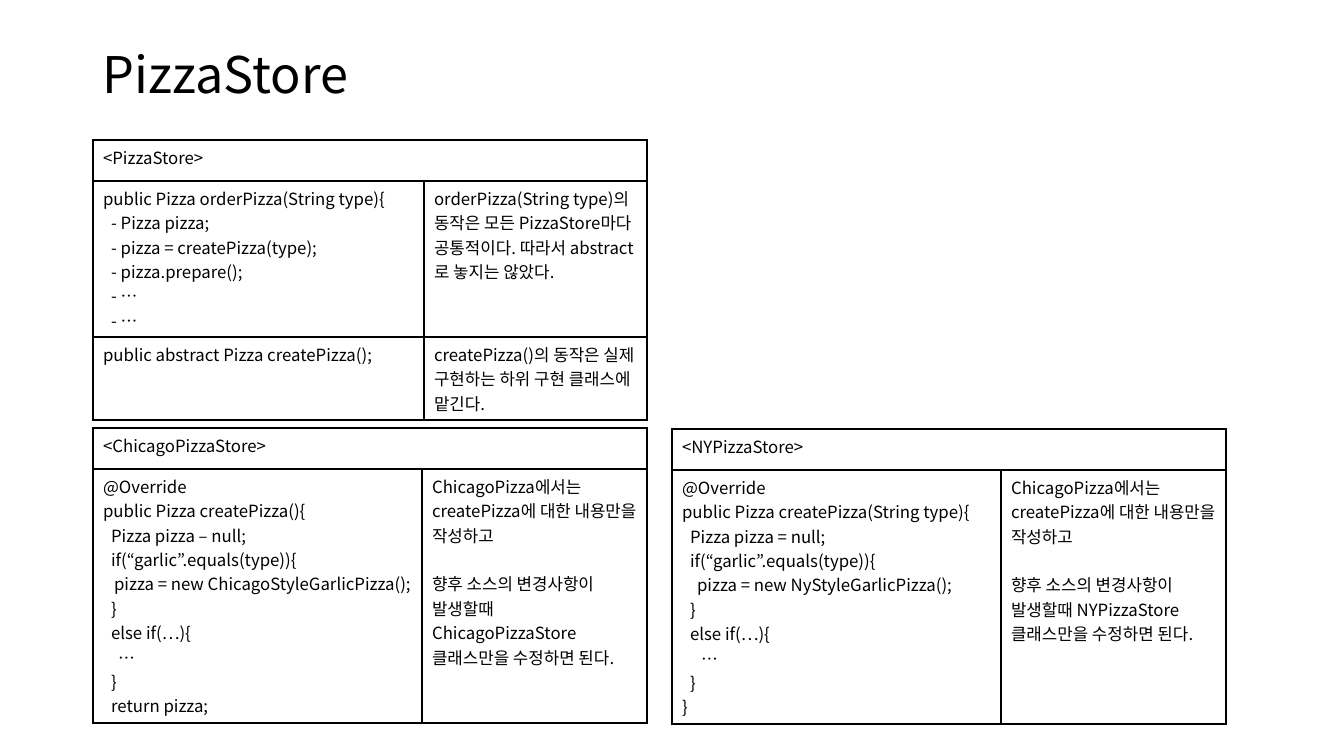
from dataclasses import dataclass

from lxml import etree
from pptx import Presentation
from pptx.dml.color import RGBColor
from pptx.enum.text import MSO_ANCHOR
from pptx.oxml.ns import qn
from pptx.util import Pt

MIDDLE = MSO_ANCHOR.MIDDLE
EMU_PER_PX = 914400 / 100.8
SLIDE_WIDTH, SLIDE_HEIGHT = 1344, 756


@dataclass(frozen=True)
class Theme:
    font: str = "Noto Sans CJK KR"
    ink: str = "000000"
    title_size: int = 36
    body_size: int = 12
    paragraph_gap: float = 17.4
    border_width: int = 1
    indent_step: float = 3.75
    header_height: int = 41


THEME = Theme()

STORE = {
    "box": (93, 140, 554),
    "code_width": 331,
    "heading": "<PizzaStore>",
    "methods": [
        (156, [
            (0, "public Pizza orderPizza(String type){"),
            (2, "- Pizza pizza;"),
            (2, "- pizza = createPizza(type);"),
            (2, "- pizza.prepare();"),
            (2, "- …"),
            (2, "- …"),
        ], ["orderPizza(String type)의 동작은 모든 PizzaStore마다 공통적이다. 따라서 abstract로 놓지는 않았다."]),
        (83, [(0, "public abstract Pizza createPizza();")],
         ["createPizza()의 동작은 실제 구현하는 하위 구현 클래스에 맡긴다."]),
    ],
}

CHICAGO_STORE = {
    "box": (93, 428, 554),
    "code_width": 329,
    "heading": "<ChicagoPizzaStore>",
    "methods": [
        (254, [
            (0, "@Override"),
            (0, "public Pizza createPizza(){"),
            (2, "Pizza pizza – null;"),
            (2, "if(“garlic”.equals(type)){"),
            (3, "pizza = new ChicagoStyleGarlicPizza();"),
            (2, "}"),
            (2, "else if(…){"),
            (4, "…"),
            (2, "}"),
            (2, "return pizza;"),
        ], ["ChicagoPizza에서는 createPizza에 대한 내용만을 작성하고",
            "향후 소스의 변경사항이 발생할때 ChicagoPizzaStore클래스만을 수정하면 된다."]),
    ],
}

NY_STORE = {
    "box": (672, 429, 554),
    "code_width": 329,
    "heading": "<NYPizzaStore>",
    "methods": [
        (254, [
            (0, "@Override"),
            (0, "public Pizza createPizza(String type){"),
            (2, "Pizza pizza = null;"),
            (2, "if(“garlic”.equals(type)){"),
            (4, "pizza = new NyStyleGarlicPizza();"),
            (2, "}"),
            (2, "else if(…){"),
            (5, "…"),
            (2, "}"),
            (0, "}"),
        ], ["ChicagoPizza에서는 createPizza에 대한 내용만을 작성하고",
            "향후 소스의 변경사항이 발생할때 NYPizzaStore클래스만을 수정하면 된다."]),
    ],
}


def px(length):
    return round(length * EMU_PER_PX)


def add_run(paragraph, text, size):
    run = paragraph.add_run()
    run.text = text
    run.font.size = Pt(size)
    run.font.name = THEME.font
    run.font.color.rgb = RGBColor.from_string(THEME.ink)
    latin = run.font._element.find(qn("a:latin"))
    east_asian = etree.Element(qn("a:ea"), typeface=THEME.font)
    latin.addnext(east_asian)


def write_lines(frame, lines, gap=0):
    for index, (indent, text) in enumerate(lines):
        paragraph = frame.add_paragraph() if index else frame.paragraphs[0]
        if index and gap:
            paragraph.space_before = Pt(gap)
        if indent:
            properties = paragraph._p.get_or_add_pPr()
            properties.set("marL", str(px(round(indent * THEME.indent_step))))
            properties.set("indent", "0")
        add_run(paragraph, text, THEME.body_size)


def outline_cell(cell):
    cell.fill.background()
    properties = cell._tc.get_or_add_tcPr()
    for position, side in enumerate(("lnL", "lnR", "lnT", "lnB")):
        border = etree.Element(qn(f"a:{side}"), w=str(Pt(THEME.border_width)))
        fill = etree.SubElement(border, qn("a:solidFill"))
        etree.SubElement(fill, qn("a:srgbClr"), val=THEME.ink)
        properties.insert(position, border)


def add_title(slide, box, text):
    title = slide.shapes.add_textbox(*map(px, box))
    frame = title.text_frame
    frame.word_wrap = True
    frame.vertical_anchor = MIDDLE
    heading = frame.paragraphs[0]
    heading.line_spacing = 0.9
    add_run(heading, text, THEME.title_size)


def add_class_table(slide, store):
    left, top, width = store["box"]
    methods = store["methods"]
    heights = [THEME.header_height] + [height for height, _, _ in methods]
    frame = slide.shapes.add_table(
        len(heights), 2, px(left), px(top), px(width), px(sum(heights)))
    table = frame.table
    table.first_row = False
    table.horz_banding = False
    table.columns[0].width = px(store["code_width"])
    table.columns[1].width = px(width - store["code_width"])
    for row, height in zip(table.rows, heights):
        row.height = px(height)
        for cell in row.cells:
            outline_cell(cell)
    table.cell(0, 0).merge(table.cell(0, 1))
    write_lines(table.cell(0, 0).text_frame, [(0, store["heading"])])
    for row, (_, code, remarks) in enumerate(methods, start=1):
        write_lines(table.cell(row, 0).text_frame, code)
        write_lines(table.cell(row, 1).text_frame,
                    [(0, remark) for remark in remarks], THEME.paragraph_gap)


def main():
    presentation = Presentation()
    presentation.slide_width = px(SLIDE_WIDTH)
    presentation.slide_height = px(SLIDE_HEIGHT)
    slide = presentation.slides.add_slide(presentation.slide_layouts[6])
    add_title(slide, (93, 40, 1159, 75), "PizzaStore")
    for store in (STORE, CHICAGO_STORE, NY_STORE):
        add_class_table(slide, store)
    presentation.save("out.pptx")


if __name__ == "__main__":
    main()
